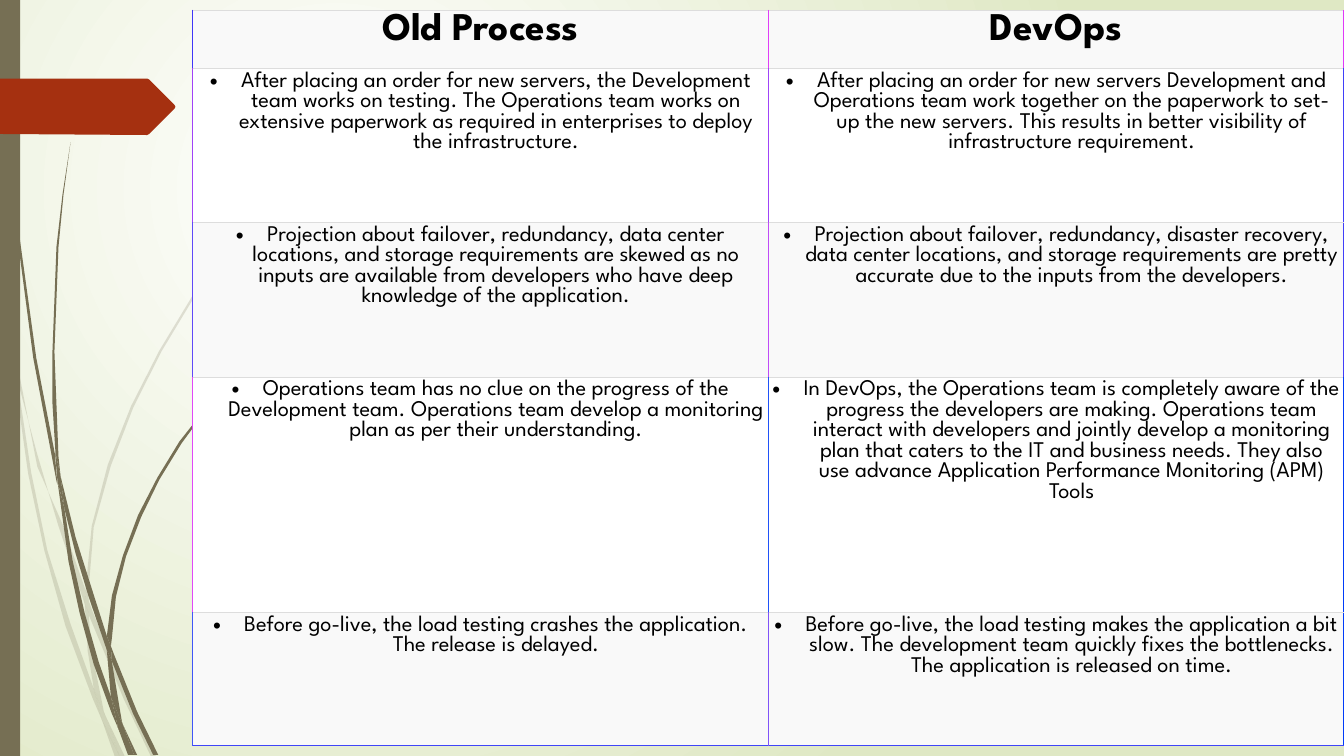
from lxml.etree import SubElement
from pptx import Presentation
from pptx.dml.color import RGBColor
from pptx.enum.shapes import MSO_SHAPE as Preset
from pptx.enum.text import MSO_ANCHOR as Anchor, PP_ALIGN as Align
from pptx.oxml.ns import qn
from pptx.util import Pt

PX = 9144
PAGE = (0, 0, 1333, 750)
BAR = (0, 0, 20, 750)
TABLE = (191, 10, 1142, 730)
OLIVE, RUST, BLACK = "766F54", "A53010", "000000"
FONT = "League Spartan"

PALE_BLADES = [
    (11, 350, 9, 322, 0, 282, 0, 299, 10, 344),
    (58, 522, 84, 599, 85, 586, 62, 520, 37, 463, 14, 345, 17, 376, 37, 451),
    (92, 607, 88, 596, 88, 610, 123, 694, 150, 751, 155, 751, 127, 692),
    (119, 751, 124, 751, 105, 711),
    (93, 683, 70, 619, 47, 546, 31, 469, 17, 376, 11, 350, 28, 470, 44, 546,
     65, 621, 92, 693, 101, 714, 99, 707),
    (84, 599, 87, 646, 93, 683, 96, 692, 105, 711, 103, 706, 91, 646, 88, 610, 88, 608),
    (88, 584, 93, 523, 110, 462, 132, 405, 160, 349, 192, 296, 229, 245, 268, 198,
     290, 175, 312, 154, 312, 153, 289, 175, 268, 197, 228, 244, 190, 295, 158, 348,
     130, 403, 107, 461, 91, 522, 85, 584, 85, 586, 88, 596),
    (101, 714, 114, 751, 119, 751),
    (88, 608, 88, 596, 85, 586, 84, 599),
    (96, 692, 93, 683, 99, 707, 101, 714, 119, 751, 105, 711),
]
DARK_BLADES = [
    (7, 110, 17, 233, 33, 355, 56, 477, 57, 481, 55, 457, 55, 453, 36, 355, 19, 232,
     8, 109, 5, 48, 4, 0, 3, 0, 4, 48),
    (88, 592, 106, 645, 106, 631, 93, 590, 75, 533, 60, 472, 64, 505, 75, 549),
    (113, 649, 110, 641, 111, 656, 132, 708, 152, 749, 157, 749, 136, 706),
    (110, 691, 98, 657, 84, 608, 72, 556, 64, 505, 57, 477, 68, 557, 79, 608,
     93, 659, 111, 708, 117, 722, 116, 717),
    (60, 472, 58, 453, 54, 349, 58, 245, 63, 193, 70, 141, 62, 193, 56, 245,
     52, 349, 52, 400, 55, 449),
    (133, 749, 136, 749, 122, 719),
    (57, 477, 64, 505, 60, 472, 55, 449, 55, 453),
    (111, 633, 115, 592, 125, 552, 140, 513, 158, 476, 180, 440, 205, 406, 231, 374,
     261, 344, 260, 344, 231, 373, 204, 405, 178, 438, 156, 474, 137, 511, 122, 551,
     111, 591, 106, 631, 110, 641),
    (117, 722, 127, 749, 131, 749),
    (106, 645, 110, 691, 116, 706, 122, 719, 121, 716, 111, 656, 109, 651),
    (106, 645, 109, 651, 111, 656, 110, 641, 106, 631),
    (116, 706, 110, 691, 116, 717, 117, 722, 130, 749, 133, 749, 122, 719),
]
ARROW = (0, 78, 146, 78, 148, 79, 173, 104, 174, 106, 173, 108, 148, 133, 146, 134, 0, 133)

COLUMN_WIDTHS = (571, 571)
ROW_HEIGHTS = (58, 153, 153, 234, 132)
ROWS = [
    ("Old Process", "DevOps"),
    ("After placing an order for new servers, the Development team works on testing. The Operations team works on extensive paperwork as required in enterprises to deploy the infrastructure.",
     "After placing an order for new servers Development and Operations team work together on the paperwork to set-up the new servers. This results in better visibility of infrastructure requirement."),
    ("Projection about failover, redundancy, data center locations, and storage requirements are skewed as no inputs are available from developers who have deep knowledge of the application.",
     "Projection about failover, redundancy, disaster recovery, data center locations, and storage requirements are pretty accurate due to the inputs from the developers."),
    ("Operations team has no clue on the progress of the Development team. Operations team develop a monitoring plan as per their understanding.",
     "In DevOps, the Operations team is completely aware of the progress the developers are making. Operations team interact with developers and jointly develop a monitoring plan that caters to the IT and business needs. They also use advance Application Performance Monitoring (APM) Tools"),
    ("Before go-live, the load testing crashes the application. The release is delayed.",
     "Before go-live, the load testing makes the application a bit slow. The development team quickly fixes the bottlenecks. The application is released on time."),
]
SIDE_COLOURS = [
    ("4036F8", "E03FF8", "E039F8"),
    ("A042F8", "A044F8", "403FF8"),
    ("6049F8", "C04CF8", "403FF8"),
    ("E048F8", "2052F8", "003CF8"),
    ("4056F8", "8054F8", "003CF8"),
]
GRID_LINE = ("DDDDDD", 0.75)
BOTTOM_LINE = ("4045F8", 1)


def colour(code):
    return RGBColor.from_string(code)


def scaled(box):
    return [length * PX for length in box]


def assign(target, values):
    for name, value in values.items():
        setattr(target, name, value)


def paint(shape, code, opacity=100):
    shape.shadow.inherit = False
    shape.fill.solid()
    shape.fill.fore_color.rgb = colour(code)
    shape.line.fill.background()
    if opacity < 100:
        fill = shape._element.find(".//" + qn("a:srgbClr"))
        SubElement(fill, qn("a:alpha"), val=str(opacity * 1000))


def draw_outline(shapes, box, numbers, code, opacity=100):
    left, top = box[:2]
    points = [(left + x, top + y) for x, y in zip(numbers[::2], numbers[1::2])]
    builder = shapes.build_freeform(*points[0], scale=PX)
    builder.add_line_segments(points[1:], close=True)
    paint(builder.convert_to_shape(), code, opacity)


def draw_background(page):
    fill = page.background.fill
    fill.gradient()
    for stop, code in zip(fill.gradient_stops, ("FFFFFF", "DFE8C4")):
        stop.color.rgb = colour(code)
    gradient = page._element.find(".//" + qn("a:gradFill"))
    gradient.remove(gradient.find(qn("a:lin")))
    circle = SubElement(gradient, qn("a:path"), path="circle")
    SubElement(circle, qn("a:fillToRect"), l="50000", t="50000", r="100000", b="100000")


def draw_decoration(page, box):
    for blades, opacity in ((PALE_BLADES, 20), (DARK_BLADES, 100)):
        group = page.shapes.add_group_shape()
        for blade in blades:
            draw_outline(group.shapes, box, blade, OLIVE, opacity)
    paint(page.shapes.add_shape(Preset.RECTANGLE, *scaled(BAR)), OLIVE)
    draw_outline(page.shapes, box, ARROW, RUST)


def set_borders(cell, borders):
    properties = cell._tc.get_or_add_tcPr()
    for index, (side, (code, width)) in enumerate(borders.items()):
        line = properties.makeelement(qn("a:ln" + side), {"w": str(Pt(width))})
        fill = SubElement(line, qn("a:solidFill"))
        SubElement(fill, qn("a:srgbClr"), val=code)
        properties.insert(index, line)


def write_cell(cell, text, is_header):
    assign(cell, dict.fromkeys(("margin_left", "margin_top", "margin_right", "margin_bottom"), 3 * PX))
    cell.vertical_anchor = Anchor.TOP
    para = cell.text_frame.paragraphs[0]
    para.alignment = Align.CENTER
    span = para.add_run()
    span.text = text
    assign(span.font, {"name": FONT, "size": Pt(28 if is_header else 16), "bold": is_header})
    span.font.color.rgb = colour(BLACK)
    if not is_header:
        properties = para._p.get_or_add_pPr()
        properties.set("marL", str(31 * PX))
        properties.set("indent", str(-31 * PX))
        SubElement(properties, qn("a:buFont"), typeface="Arial")
        SubElement(properties, qn("a:buChar"), char="•")


def draw_comparison(page, box):
    table = page.shapes.add_table(len(ROWS), len(COLUMN_WIDTHS), *scaled(box)).table
    assign(table, {"first_row": False, "horz_banding": False})
    for column, width in zip(table.columns, COLUMN_WIDTHS):
        column.width = width * PX
    for number, (row, height, texts, sides) in enumerate(
            zip(table.rows, ROW_HEIGHTS, ROWS, SIDE_COLOURS)):
        row.height = height * PX
        bottom = BOTTOM_LINE if number == len(ROWS) - 1 else GRID_LINE
        for cell, text, left, right in zip(row.cells, texts, sides, sides[1:]):
            write_cell(cell, text, number == 0)
            cell.fill.solid()
            cell.fill.fore_color.rgb = colour("FFFFFF" if number % 2 else "F9F9F9")
            set_borders(cell, {"L": (left, 1), "R": (right, 1), "T": GRID_LINE, "B": bottom})


def main():
    deck = Presentation()
    assign(deck, {"slide_width": PAGE[2] * PX, "slide_height": PAGE[3] * PX})
    page = deck.slides.add_slide(deck.slide_layouts[6])
    draw_background(page)
    draw_decoration(page, PAGE)
    draw_comparison(page, TABLE)
    deck.save("out.pptx")


if __name__ == "__main__":
    main()
